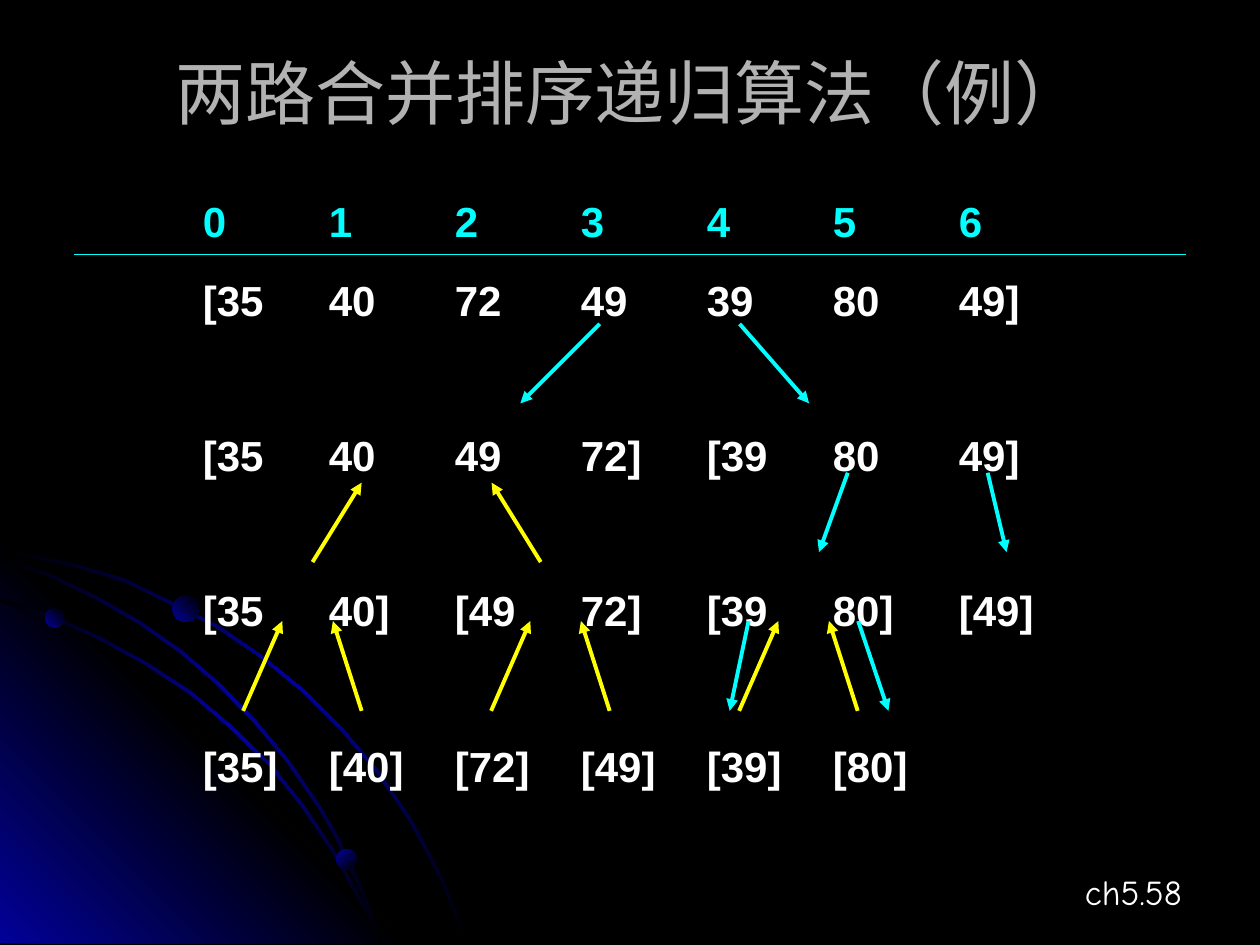
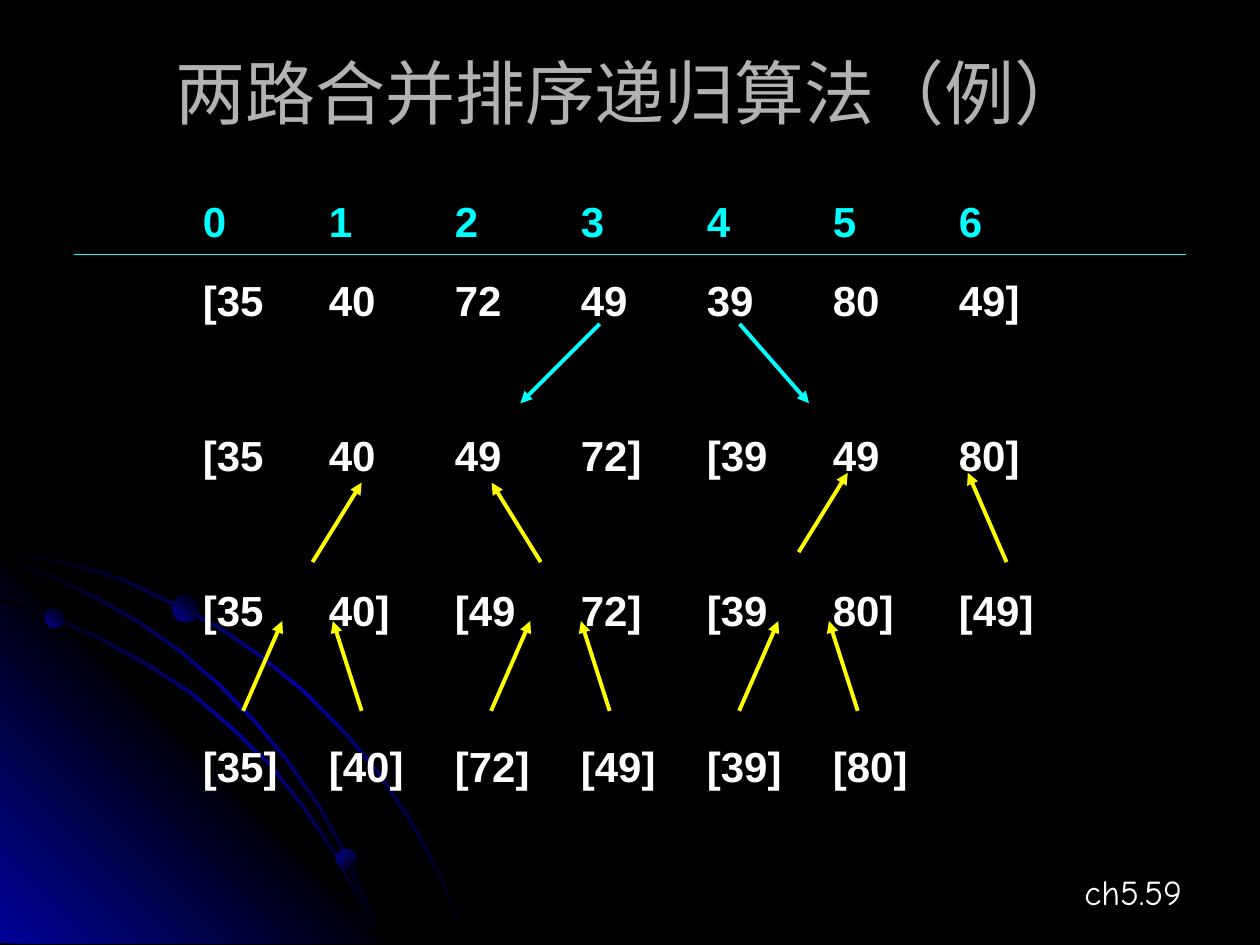
from dataclasses import dataclass
from math import hypot

from lxml import etree
from pptx import Presentation
from pptx.dml.color import RGBColor
from pptx.enum.shapes import MSO_CONNECTOR, MSO_SHAPE
from pptx.enum.text import MSO_ANCHOR, PP_ALIGN
from pptx.oxml.ns import qn
from pptx.util import Cm, Pt

STRAIGHT = MSO_CONNECTOR.STRAIGHT
OVAL = MSO_SHAPE.OVAL
MIDDLE = MSO_ANCHOR.MIDDLE
LEFT, CENTER, RIGHT = PP_ALIGN.LEFT, PP_ALIGN.CENTER, PP_ALIGN.RIGHT


@dataclass(frozen=True)
class Theme:
    black: str = "000000"
    navy: str = "010199"
    title: str = "B2B2B2"
    text: str = "FFFFFF"
    split: str = "00FFFF"
    merge: str = "FFFF00"
    font: str = "Arial"
    footer_font: str = "Comic Neue"
    title_size: int = 40
    body_size: int = 24
    footer_size: int = 20
    rule_width: float = 0.75
    arrow_width: float = 2.25


T = Theme()

# ---- Content ----
TITLE = "两路合并排序递归算法（例）"
INDEXES = ["0", "1", "2", "3", "4", "5", "6"]
UNSORTED = ["[35", "40", "72", "49", "39", "80", "49]"]
LEFT_HALF = ["[35", "40", "49", "72]"]
PAIRS = ["[35", "40]", "[49", "72]", "[39", "80]", "[49]"]
SINGLES = ["[35]", "[40]", "[72]", "[49]", "[39]", "[80]"]

# Arrows are (from x, from y, to x, to y) in cm
LEAF_TOP, LEAF_BOTTOM = 12.52, 14.33
FIRST_SPLIT = [(12.09, 6.53, 10.49, 8.13), (14.91, 6.53, 16.31, 8.13)]
RIGHT_SPLIT = [(17.09, 9.53, 16.51, 11.13), (19.91, 9.53, 20.29, 11.13)]
LEAF_SPLIT = [(15.09, LEAF_TOP, 14.71, LEAF_BOTTOM),
              (17.3, LEAF_TOP, 17.91, LEAF_BOTTOM)]
LEFT_MERGE = [(6.3, 11.33, 7.29, 9.73), (10.9, 11.33, 9.91, 9.73)]
RIGHT_MERGE = [(16.1, 11.13, 17.09, 9.53), (20.29, 11.33, 19.51, 9.53)]
LEAF_MERGE = [(4.9 + 5 * pair + start, LEAF_BOTTOM, 4.9 + 5 * pair + end, LEAF_TOP)
              for pair in range(3) for start, end in ((0, 0.79), (2.39, 1.81))]

SLIDES = [
    {"footer": "ch5.58", "right_half": ["[39", "80", "49]"],
     "splits": FIRST_SPLIT + RIGHT_SPLIT + LEAF_SPLIT,
     "merges": LEAF_MERGE + LEFT_MERGE},
    {"footer": "ch5.59", "right_half": ["[39", "49", "80]"],
     "splits": FIRST_SPLIT,
     "merges": LEAF_MERGE + RIGHT_MERGE + LEFT_MERGE},
]

# ---- Backdrop, in cm ----
OUTER_ARC = [(0, 11.05), (0.71, 11.2), (1.45, 11.35), (2.49, 11.66), (3.45, 12.12),
             (4.42, 12.62), (5.31, 13.23), (6.15, 13.92), (6.91, 14.68), (7.62, 15.52),
             (8.26, 16.46), (8.61, 17.09), (8.94, 17.73), (9.19, 18.36), (9.45, 19.02)]
INNER_ARC = [(0, 12.07), (1.04, 12.4), (2.01, 12.83), (2.97, 13.36), (3.86, 13.94),
             (4.67, 14.63), (5.46, 15.39), (6.15, 16.26), (6.76, 17.17), (7.26, 18.08),
             (7.52, 18.54), (7.7, 19.02)]
MIDDLE_ARC = [(0, 11.23), (0.99, 11.56), (1.93, 12.01), (2.82, 12.52), (3.66, 13.11),
              (4.45, 13.79), (5.18, 14.55), (5.82, 15.32), (6.45, 16.23), (6.83, 16.89),
              (7.16, 17.6), (7.47, 18.29), (7.7, 19.02)]
CORNER = [(8.18, 19.02), (0, 19.02), (0, 10.85)]
ARC_WIDTH = 0.06
RISING, FALLING = 45, 315
GLOW = (T.navy, T.black, T.navy)
STREAK = (T.black, T.navy, T.black)
BEAD = (T.navy, T.black)
BEADS = [(0.91, 12.27, 0.38, RISING), (6.78, 17.12, 0.41, FALLING),
         (3.48, 12.01, 0.53, RISING)]

# ---- Layout ----
TAB_STEP = Cm(2.54)
HEADER_GAP, LEVEL_GAP = 16, 60


def rgb(color):
    return RGBColor.from_string(color)


def paint(sp, colors, angle):
    """Fill with evenly spaced gradient colours and remove outline and shadow."""
    sp.shadow.inherit = False
    sp.line.fill.background()
    sp.fill.gradient()
    sp.fill.gradient_angle = angle
    stops = sp._element.spPr.find(".//" + qn("a:gsLst"))
    for stop in list(stops):
        stops.remove(stop)
    for i, color in enumerate(colors):
        stop = etree.SubElement(stops, qn("a:gs"), pos=str(100000 * i // (len(colors) - 1)))
        etree.SubElement(stop, qn("a:srgbClr"), val=color)


def ribbon(edge):
    """Close an arc into a thin band by offsetting it along its normals."""
    inner = []
    for i, (x, y) in enumerate(edge):
        x0, y0 = edge[max(i - 1, 0)]
        x1, y1 = edge[min(i + 1, len(edge) - 1)]
        k = ARC_WIDTH / hypot(x1 - x0, y1 - y0)
        inner.append((max(x - (y1 - y0) * k, 0), y + (x1 - x0) * k))
    return edge + inner[::-1]


def add_outline(s, points, colors, angle):
    start, *rest = [(Cm(x), Cm(y)) for x, y in points]
    builder = s.shapes.build_freeform(*start)
    builder.add_line_segments(rest, close=True)
    paint(builder.convert_to_shape(), colors, angle)


def add_backdrop(s):
    s.background.fill.solid()
    s.background.fill.fore_color.rgb = rgb(T.black)
    add_outline(s, ribbon(OUTER_ARC), STREAK, FALLING)
    add_outline(s, CORNER, GLOW, RISING)
    for arc in (INNER_ARC, MIDDLE_ARC):
        add_outline(s, ribbon(arc), STREAK, FALLING)
    for x, y, size, angle in BEADS:
        paint(s.shapes.add_shape(OVAL, Cm(x), Cm(y), Cm(size), Cm(size)), BEAD, angle)


def add_frame(s, x, y, w, h):
    tf = s.shapes.add_textbox(Cm(x), Cm(y), Cm(w), Cm(h)).text_frame
    tf.word_wrap = True
    return tf


def write(p, text, size, color, font=T.font, bold=False, align=LEFT):
    p.text = text
    p.alignment = align
    p.font.name = font
    p.font.size = Pt(size)
    p.font.bold = bold
    p.font.color.rgb = rgb(color)


def add_rows(s, rows):
    """Write the index row and the sort levels on evenly spaced tab stops."""
    tf = add_frame(s, 1.3, 3.82, 22.8, 12)
    for i, row in enumerate(rows):
        p = tf.add_paragraph() if i else tf.paragraphs[0]
        tabs = etree.SubElement(p._p.get_or_add_pPr(), qn("a:tabLst"))
        for column in range(1, len(INDEXES) + 1):
            etree.SubElement(tabs, qn("a:tab"), pos=str(column * TAB_STEP), algn="l")
        if i:
            p.space_before = Pt(HEADER_GAP if i == 1 else LEVEL_GAP)
        write(p, "".join("\t" + cell for cell in row), T.body_size,
              T.text if i else T.split, bold=True)


def add_line(s, ends, color, width, arrow=True):
    line = s.shapes.add_connector(STRAIGHT, *(Cm(v) for v in ends))
    line.line.color.rgb = rgb(color)
    line.line.width = Pt(width)
    if arrow:
        etree.SubElement(line.line._get_or_add_ln(), qn("a:tailEnd"), type="triangle")
    etree.SubElement(line._element.spPr, qn("a:effectLst"))


def build_slide(prs, content):
    s = prs.slides.add_slide(prs.slide_layouts[6])
    add_backdrop(s)
    footer = add_frame(s, 18.29, 17.42, 5.79, 1.12)
    write(footer.paragraphs[0], content["footer"], T.footer_size, T.text,
          T.footer_font, align=RIGHT)
    title = add_frame(s, 1.27, 0.76, 22.86, 2.16)
    title.vertical_anchor = MIDDLE
    write(title.paragraphs[0], TITLE, T.title_size, T.title, align=CENTER)
    add_rows(s, [INDEXES, UNSORTED, LEFT_HALF + content["right_half"], PAIRS, SINGLES])
    add_line(s, (1.5, 5.13, 23.9, 5.13), T.split, T.rule_width, arrow=False)
    for key, color in (("splits", T.split), ("merges", T.merge)):
        for ends in content[key]:
            add_line(s, ends, color, T.arrow_width)


def main():
    prs = Presentation()
    prs.slide_width, prs.slide_height = Cm(25.4), Cm(19.05)
    for content in SLIDES:
        build_slide(prs, content)
    prs.save("out.pptx")


if __name__ == "__main__":
    main()
